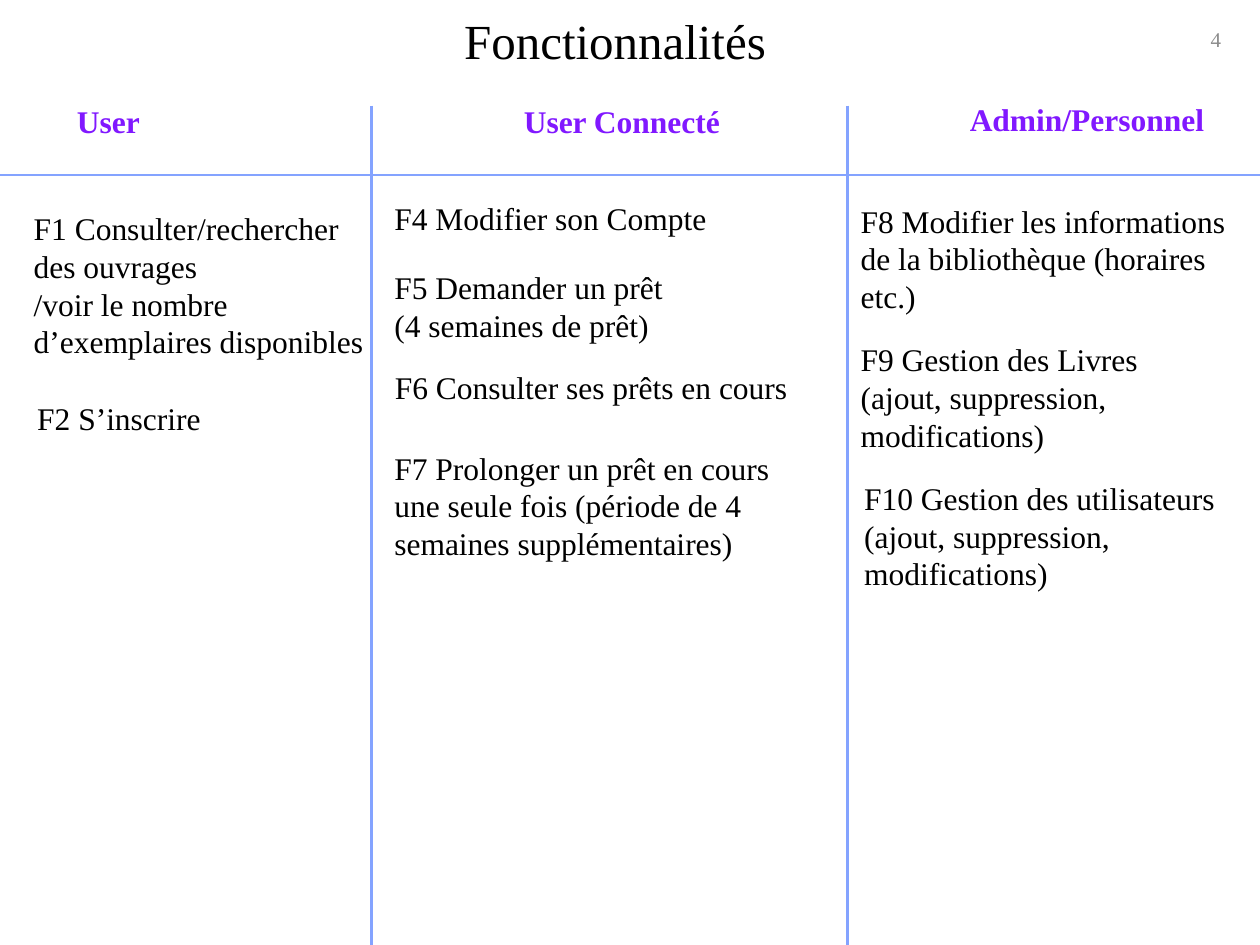
from lxml.etree import SubElement
from pptx import Presentation
from pptx.dml.color import RGBColor
from pptx.enum.shapes import MSO_CONNECTOR, MSO_SHAPE
from pptx.enum.text import MSO_ANCHOR, MSO_AUTO_SIZE, PP_ALIGN
from pptx.oxml.ns import qn
from pptx.util import Cm, Pt

COLOURS = {"text": "000000", "heading": "8118FF", "rule": "84A3FF", "number": "8C8C8C"}
WIDTH, HEIGHT = 25.4, 19.05
DIVIDERS = (7.49, 17.09)
DIVIDER_TOP, HEADER_RULE = 2.13, 3.53
OVERLAP = 0.2

# left, top, width, height, wrap, text
HEADINGS = [
    (1.3, 1.93, 24.1, 1.02, True, "User"),
    (10.31, 1.93, 4.67, 1.02, False, "User Connecté"),
    (19.3, 1.9, 5.28, 1.02, False, "Admin/Personnel"),
]

# left, top, width, height, wrap, lines
FEATURES = [
    (0.43, 4.09, 7.24, 3.33, False,
     ["F1 Consulter/rechercher", "des ouvrages", "/voir le nombre", "d’exemplaires disponibles"]),
    (0.5, 7.92, 3.84, 1.02, False, ["F2 S’inscrire"]),
    (7.7, 3.89, 6.88, 1.02, False, ["F4 Modifier son Compte"]),
    (7.7, 5.28, 6.15, 1.8, False, ["F5 Demander un prêt", "(4 semaines de prêt)"]),
    (7.71, 7.29, 8.51, 1.02, False, ["F6 Consulter ses prêts en cours"]),
    (7.7, 8.92, 8.79, 2.57, True,
     ["F7 Prolonger un prêt en cours une seule fois (période de 4 semaines supplémentaires)"]),
    (17.1, 3.94, 8.3, 2.57, True,
     ["F8 Modifier les informations", "de la bibliothèque (horaires etc.)"]),
    (17.1, 6.73, 6.15, 2.57, False,
     ["F9 Gestion des Livres", "(ajout, suppression,", "modifications)"]),
    (17.17, 9.53, 7.65, 2.57, False,
     ["F10 Gestion des utilisateurs", "(ajout, suppression,", "modifications)"]),
]


class SlideBuilder:
    font_name = "Times New Roman"
    rule_width = Pt(1.57)

    def __init__(self, slide):
        self.slide = slide

    def fill_frame(self, frame, lines, size, colour, bold=False, align=PP_ALIGN.LEFT):
        """Put one styled paragraph per line into the text frame."""
        for index, line in enumerate(lines):
            paragraph = frame.add_paragraph() if index else frame.paragraphs[0]
            paragraph.text = line
            paragraph.alignment = align
            font = paragraph.font
            font.name, font.size, font.bold = self.font_name, Pt(size), bold
            font.color.rgb = RGBColor.from_string(COLOURS[colour])

    def text(self, left, top, width, height, wrap, lines, size=18, colour="text", **style):
        box = self.slide.shapes.add_textbox(Cm(left), Cm(top), Cm(width), Cm(height))
        frame = box.text_frame
        frame.word_wrap = wrap
        frame.auto_size = MSO_AUTO_SIZE.SHAPE_TO_FIT_TEXT
        self.fill_frame(frame, lines, size, colour, **style)

    def page_number(self, left, top, width, height, number):
        shape = self.slide.shapes.add_shape(
            MSO_SHAPE.ROUNDED_RECTANGLE, Cm(left), Cm(top), Cm(width), Cm(height))
        shape.shadow.inherit = False
        shape.fill.background()
        shape.line.fill.background()
        shape.text_frame.vertical_anchor = MSO_ANCHOR.MIDDLE
        self.fill_frame(shape.text_frame, [number], 12, "number", align=PP_ALIGN.CENTER)

    def rule(self, start_x, start_y, end_x, end_y):
        line = self.slide.shapes.add_connector(
            MSO_CONNECTOR.STRAIGHT, Cm(start_x), Cm(start_y), Cm(end_x), Cm(end_y))
        line.line.color.rgb = RGBColor.from_string(COLOURS["rule"])
        line.line.width = self.rule_width
        SubElement(line._element.spPr, qn("a:effectLst"))


def main():
    presentation = Presentation()
    presentation.slide_width, presentation.slide_height = Cm(WIDTH), Cm(HEIGHT)
    builder = SlideBuilder(presentation.slides.add_slide(presentation.slide_layouts[6]))

    builder.page_number(23.62, 0, 1.78, 1.57, "4")
    builder.text(-0.3, 0.08, WIDTH, 1.45, True, ["Fonctionnalités"],
                 size=28, align=PP_ALIGN.CENTER)
    for *box, heading in HEADINGS:
        builder.text(*box, [heading], colour="heading", bold=True)

    for divider in DIVIDERS:
        builder.rule(divider, DIVIDER_TOP, divider, HEIGHT)
    starts = [0] + [divider - OVERLAP for divider in DIVIDERS]
    for start, end in zip(starts, [*DIVIDERS, WIDTH]):
        builder.rule(start, HEADER_RULE, end, HEADER_RULE)

    for feature in FEATURES:
        builder.text(*feature)

    presentation.save("out.pptx")


if __name__ == "__main__":
    main()
